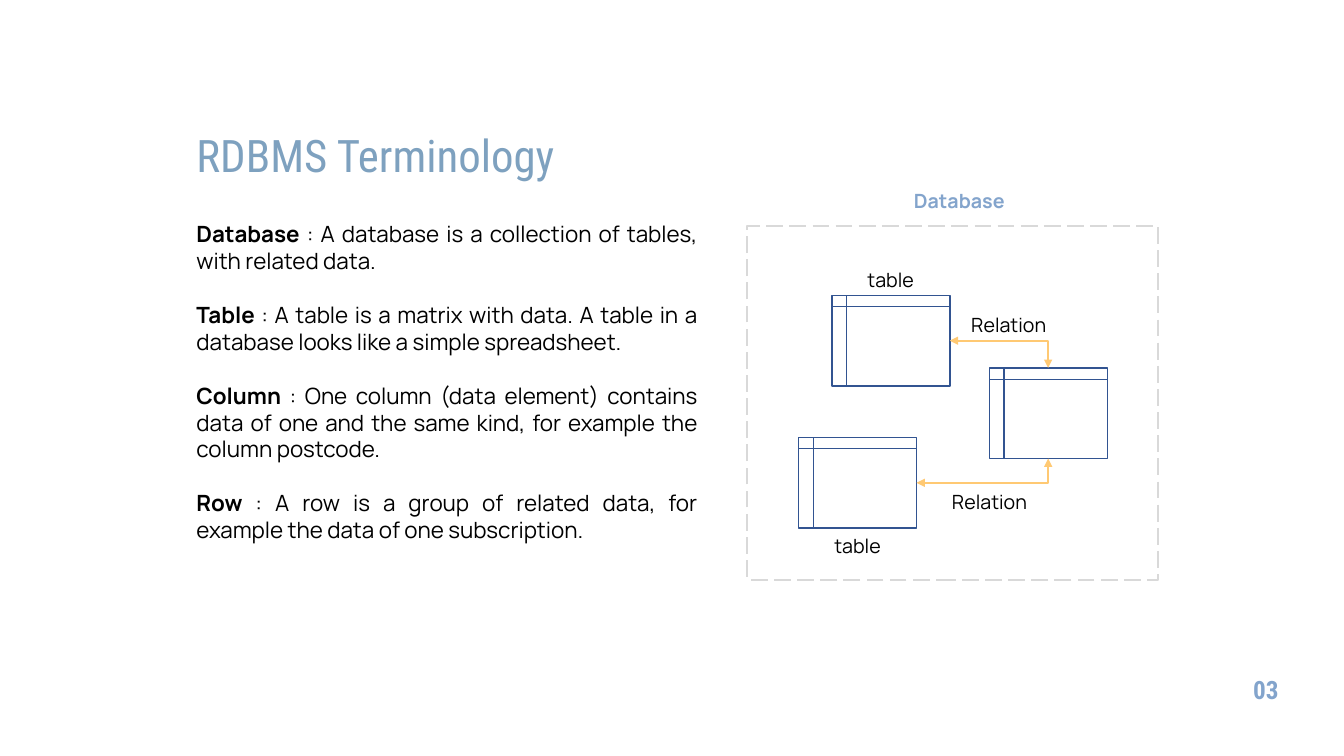
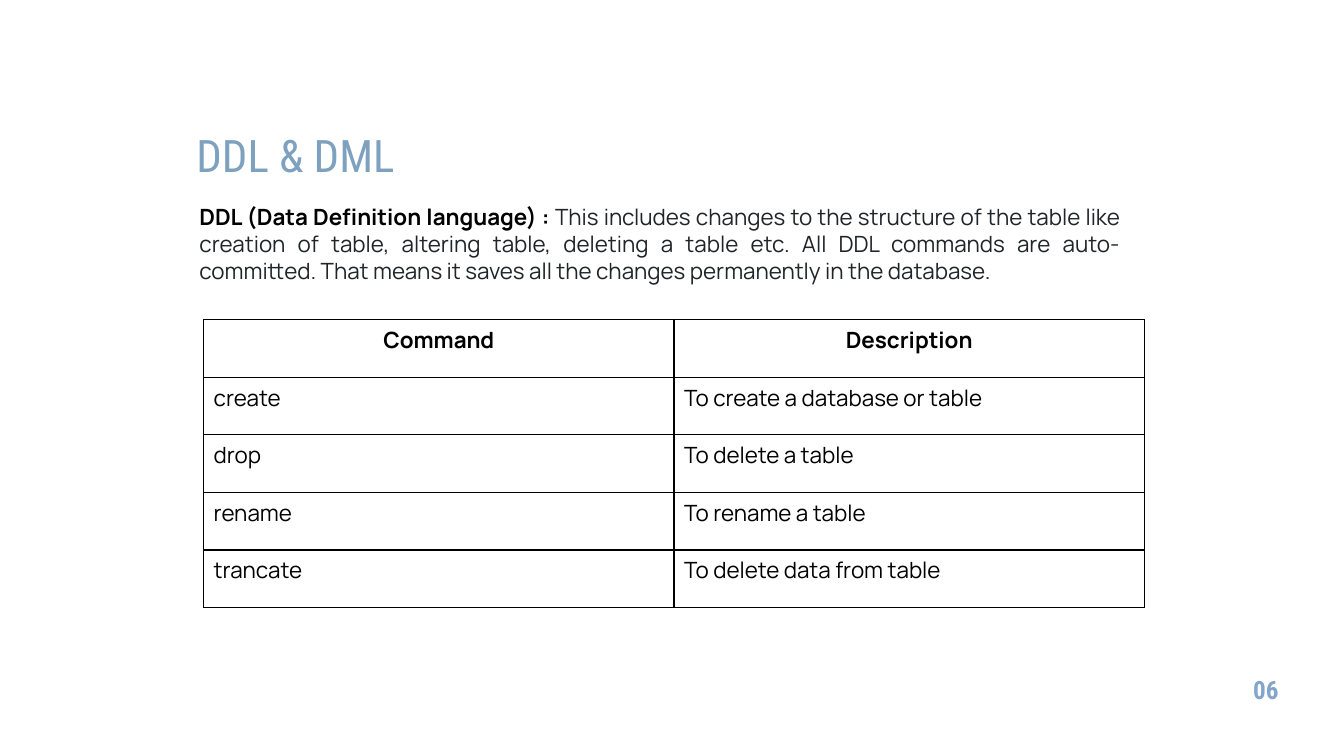
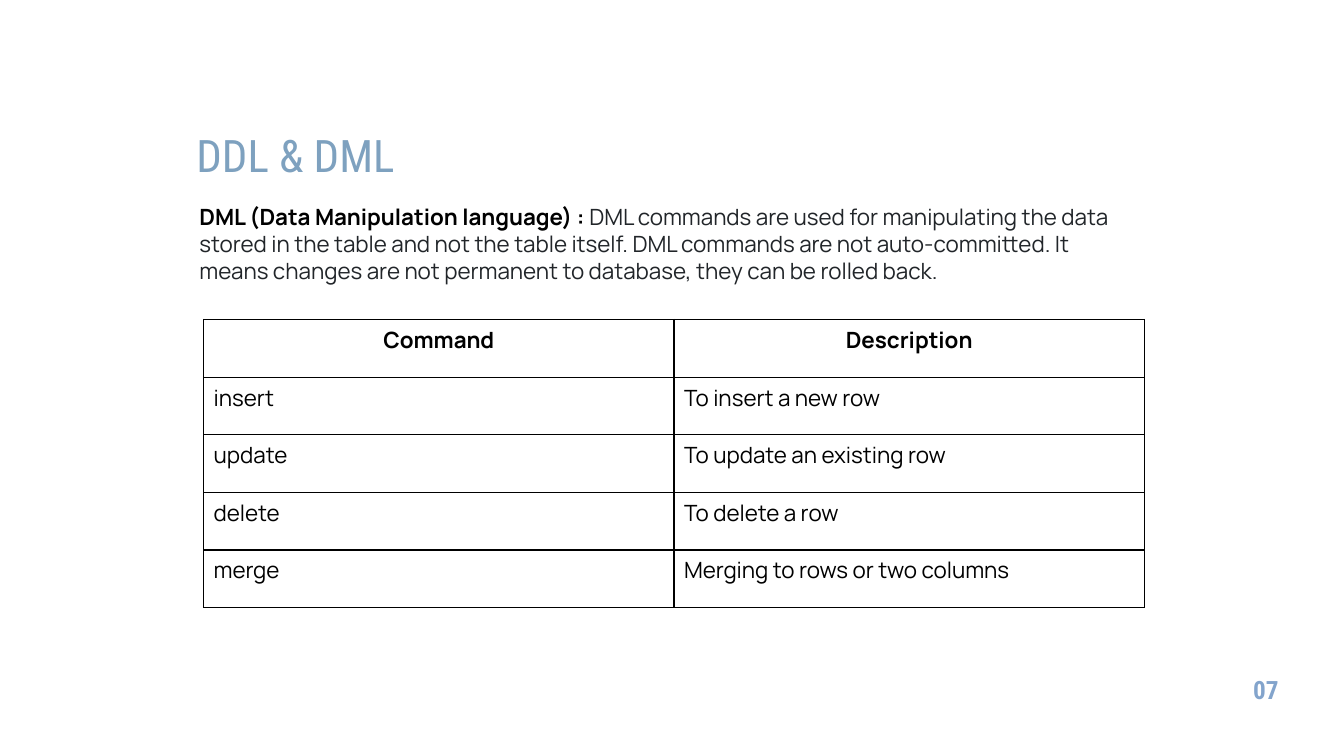
"""Build three slides on relational database terms and commands."""

from dataclasses import dataclass

from lxml.etree import SubElement
from pptx import Presentation
from pptx.dml.color import RGBColor
from pptx.enum.dml import MSO_LINE
from pptx.enum.shapes import MSO_CONNECTOR, MSO_SHAPE
from pptx.enum.text import MSO_AUTO_SIZE, PP_ALIGN
from pptx.oxml.ns import qn
from pptx.shapes.autoshape import Shape
from pptx.slide import Slide
from pptx.table import _Cell
from pptx.text.text import _Paragraph
from pptx.util import Inches, Length, Pt

SLIDE_WIDTH = Inches(13.33)
SLIDE_HEIGHT = Inches(7.5)
TOP_SITE, BOTTOM_SITE, RIGHT_SITE = 0, 2, 3


@dataclass(frozen=True)
class Style:
    size: float
    font: str
    color: str
    bold: bool = False


@dataclass(frozen=True)
class Theme:
    title: Style = Style(32, "Roboto Condensed", "7EA1BF")
    number: Style = Style(18, "Roboto Condensed", "83A4CC", True)
    strong: Style = Style(16, "Manrope", "000000", True)
    body: Style = Style(16, "Manrope", "000000")
    muted: Style = Style(16, "Manrope", "212529")
    caption: Style = Style(14, "Manrope", "83A4CC", True)
    label: Style = Style(14, "Manrope", "000000")
    frame_line: str = "D9D9D9"
    table_line: str = "325491"
    relation_line: str = "FFC973"
    cell_line: str = "000000"
    paragraph_gap: float = 19.2


@dataclass(frozen=True)
class Area:
    """A rectangle in percent of the slide's size."""

    left: float
    top: float
    width: float
    height: float

    def lengths(self) -> tuple[Length, ...]:
        across, down = SLIDE_WIDTH / 100, SLIDE_HEIGHT / 100
        return tuple(
            Length(round(length))
            for length in (self.left * across, self.top * down,
                           self.width * across, self.height * down)
        )


@dataclass(frozen=True)
class Span:
    text: str
    style: Style


@dataclass(frozen=True)
class Label:
    text: str
    center: float
    top: float
    style: Style


@dataclass(frozen=True)
class CommandPage:
    number: str
    heading: str
    summary: str
    align: PP_ALIGN
    commands: tuple[tuple[str, str], ...]


THEME = Theme()
TITLE_AREA = Area(13.88, 16.27, 34.13, 8.53)
NUMBER_AREA = Area(92.5, 88.53, 3.6, 5.33)
TERMS_AREA = Area(13.88, 28.53, 38.78, 48)
SUMMARY_AREA = Area(14.1, 26.27, 70, 12.13)
COMMANDS_AREA = Area(15.15, 42.27, 70, 38.13)
DATABASE_AREA = Area(55.59, 29.87, 30.6, 46.8)
TABLE_WIDTH, TABLE_HEIGHT = 8.78, 12
LABEL_WIDTH, LABEL_HEIGHT = 12.53, 4.53
LOWER_TABLE = Area(59.42, 57.87, TABLE_WIDTH, TABLE_HEIGHT)
RIGHT_TABLE = Area(73.6, 48.67, TABLE_WIDTH, TABLE_HEIGHT)
UPPER_TABLE = Area(61.89, 39.07, TABLE_WIDTH, TABLE_HEIGHT)

TERMS = (
    ("Database", " : A database is a collection of tables, with related data."),
    ("Table ", ": A table is a matrix with data. A table in a database looks "
               "like a simple spreadsheet."),
    ("Column", " : One column (data element) contains data of one and the same "
               "kind, for example the column postcode."),
    ("Row", " : A row is a group of related data, for example the data of one "
            "subscription."),
)
LABELS = (
    Label("Database", 71.38, 24.27, THEME.caption),
    Label("table", UPPER_TABLE.left + TABLE_WIDTH / 2, 34.8, THEME.label),
    Label("table", LOWER_TABLE.left + TABLE_WIDTH / 2, 70, THEME.label),
    Label("Relation", 73.63, 64.13, THEME.label),
    Label("Relation", 75.06, 40.8, THEME.label),
)
COMMAND_PAGES = (
    CommandPage(
        "06",
        "DDL (Data Definition language) : ",
        "This includes changes to the structure of the table like creation of "
        "table, altering table, deleting a table etc. All DDL commands are "
        "auto-committed. That means it saves all the changes permanently in "
        "the database.",
        PP_ALIGN.JUSTIFY,
        (
            ("create", "To create a database or table"),
            ("drop", "To delete a table"),
            ("rename", "To rename a table"),
            ("trancate", "To delete data from table"),
        ),
    ),
    CommandPage(
        "07",
        "DML (Data Manipulation language) : ",
        "DML commands are used for manipulating the data stored in the table "
        "and not the table itself. DML commands are not auto-committed. It "
        "means changes are not permanent to database, they can be rolled back.",
        PP_ALIGN.LEFT,
        (
            ("insert", "To insert a new row"),
            ("update", "To update an existing row"),
            ("delete", "To delete a row"),
            ("merge", "Merging to rows or two columns"),
        ),
    ),
)


def write_spans(para: _Paragraph, spans: tuple[Span, ...], align: PP_ALIGN) -> None:
    """Fill a paragraph with styled runs."""
    para.alignment = align
    for span in spans:
        run = para.add_run()
        run.text = span.text
        run.font.size = Pt(span.style.size)
        run.font.name = span.style.font
        run.font.bold = span.style.bold
        run.font.color.rgb = RGBColor.from_string(span.style.color)


def add_text(page: Slide, area: Area, paragraphs: list[tuple[Span, ...]],
             align: PP_ALIGN = PP_ALIGN.LEFT) -> None:
    """Add a wrapping text box with evenly spaced paragraphs."""
    frame = page.shapes.add_textbox(*area.lengths()).text_frame
    frame.word_wrap = True
    frame.auto_size = MSO_AUTO_SIZE.SHAPE_TO_FIT_TEXT
    for index, spans in enumerate(paragraphs):
        para = frame.add_paragraph() if index else frame.paragraphs[0]
        if index:
            para.space_before = Pt(THEME.paragraph_gap)
        write_spans(para, spans, align)


def add_outline(page: Slide, kind: MSO_SHAPE, area: Area, color: str,
                width: float) -> Shape:
    """Add an unfilled shape with a coloured outline."""
    shape = page.shapes.add_shape(kind, *area.lengths())
    shape.shadow.inherit = False
    shape.fill.background()
    shape.line.color.rgb = RGBColor.from_string(color)
    shape.line.width = Pt(width)
    return shape


def add_relation(page: Slide, source: Shape, target: Shape, target_site: int) -> None:
    """Join two tables by a one-bend arrow with two heads."""
    relation = page.shapes.add_connector(MSO_CONNECTOR.ELBOW, 0, 0, 0, 0)
    relation.begin_connect(source, RIGHT_SITE)
    relation.end_connect(target, target_site)
    relation.line.color.rgb = RGBColor.from_string(THEME.relation_line)
    relation.line.width = Pt(1.5)
    properties = relation._element.spPr
    properties.find(qn("a:prstGeom")).set("prst", "bentConnector2")
    outline = properties.find(qn("a:ln"))
    for end in ("a:headEnd", "a:tailEnd"):
        SubElement(outline, qn(end), type="triangle")
    SubElement(properties, qn("a:effectLst"))


def format_cell(cell: _Cell, span: Span, align: PP_ALIGN) -> None:
    """Write a cell and draw its four borders."""
    write_spans(cell.text_frame.paragraphs[0], (span,), align)
    properties = cell._tc.get_or_add_tcPr()
    for side in ("a:lnL", "a:lnR", "a:lnT", "a:lnB"):
        border = SubElement(properties, qn(side), w=str(Pt(1)))
        paint = SubElement(border, qn("a:solidFill"))
        SubElement(paint, qn("a:srgbClr"), val=THEME.cell_line)
    cell.fill.background()


def add_commands(page: Slide, commands: tuple[tuple[str, str], ...]) -> None:
    """Add the table of commands under its header row."""
    rows = (("Command", "Description"), *commands)
    table = page.shapes.add_table(len(rows), 2, *COMMANDS_AREA.lengths()).table
    table.first_row = False
    table.horz_banding = False
    for row, texts in enumerate(rows):
        style = THEME.body if row else THEME.strong
        align = PP_ALIGN.LEFT if row else PP_ALIGN.CENTER
        for column, text in enumerate(texts):
            format_cell(table.cell(row, column), Span(text, style), align)


def add_page(deck: Presentation, title: str, number: str) -> Slide:
    """Add a blank slide with its title and number."""
    page = deck.slides.add_slide(deck.slide_layouts[6])
    add_text(page, TITLE_AREA, [(Span(title, THEME.title),)])
    add_text(page, NUMBER_AREA, [(Span(number, THEME.number),)])
    return page


def add_database(page: Slide) -> None:
    """Draw the database frame with its related tables."""
    frame = add_outline(page, MSO_SHAPE.RECTANGLE, DATABASE_AREA, THEME.frame_line, 1.5)
    frame.line.dash_style = MSO_LINE.LONG_DASH
    lower, right, upper = (
        add_outline(page, MSO_SHAPE.FLOWCHART_INTERNAL_STORAGE, area, THEME.table_line, 1)
        for area in (LOWER_TABLE, RIGHT_TABLE, UPPER_TABLE)
    )
    add_relation(page, upper, right, TOP_SITE)
    add_relation(page, lower, right, BOTTOM_SITE)
    for label in LABELS:
        area = Area(label.center - LABEL_WIDTH / 2, label.top, LABEL_WIDTH, LABEL_HEIGHT)
        add_text(page, area, [(Span(label.text, label.style),)], PP_ALIGN.CENTER)


def add_terms_page(deck: Presentation) -> None:
    """Add the slide that explains the terms."""
    page = add_page(deck, "RDBMS Terminology", "03")
    paragraphs = [
        (Span(term, THEME.strong), Span(meaning, THEME.body)) for term, meaning in TERMS
    ]
    add_text(page, TERMS_AREA, paragraphs, PP_ALIGN.JUSTIFY)
    add_database(page)


def add_command_page(deck: Presentation, content: CommandPage) -> None:
    """Add a slide with a summary and a table of commands."""
    page = add_page(deck, "DDL & DML", content.number)
    spans = (Span(content.heading, THEME.strong), Span(content.summary, THEME.muted))
    add_text(page, SUMMARY_AREA, [spans], content.align)
    add_commands(page, content.commands)


def main() -> None:
    """Build and save the deck."""
    deck = Presentation()
    deck.slide_width = SLIDE_WIDTH
    deck.slide_height = SLIDE_HEIGHT
    add_terms_page(deck)
    for content in COMMAND_PAGES:
        add_command_page(deck, content)
    deck.save("out.pptx")


if __name__ == "__main__":
    main()
